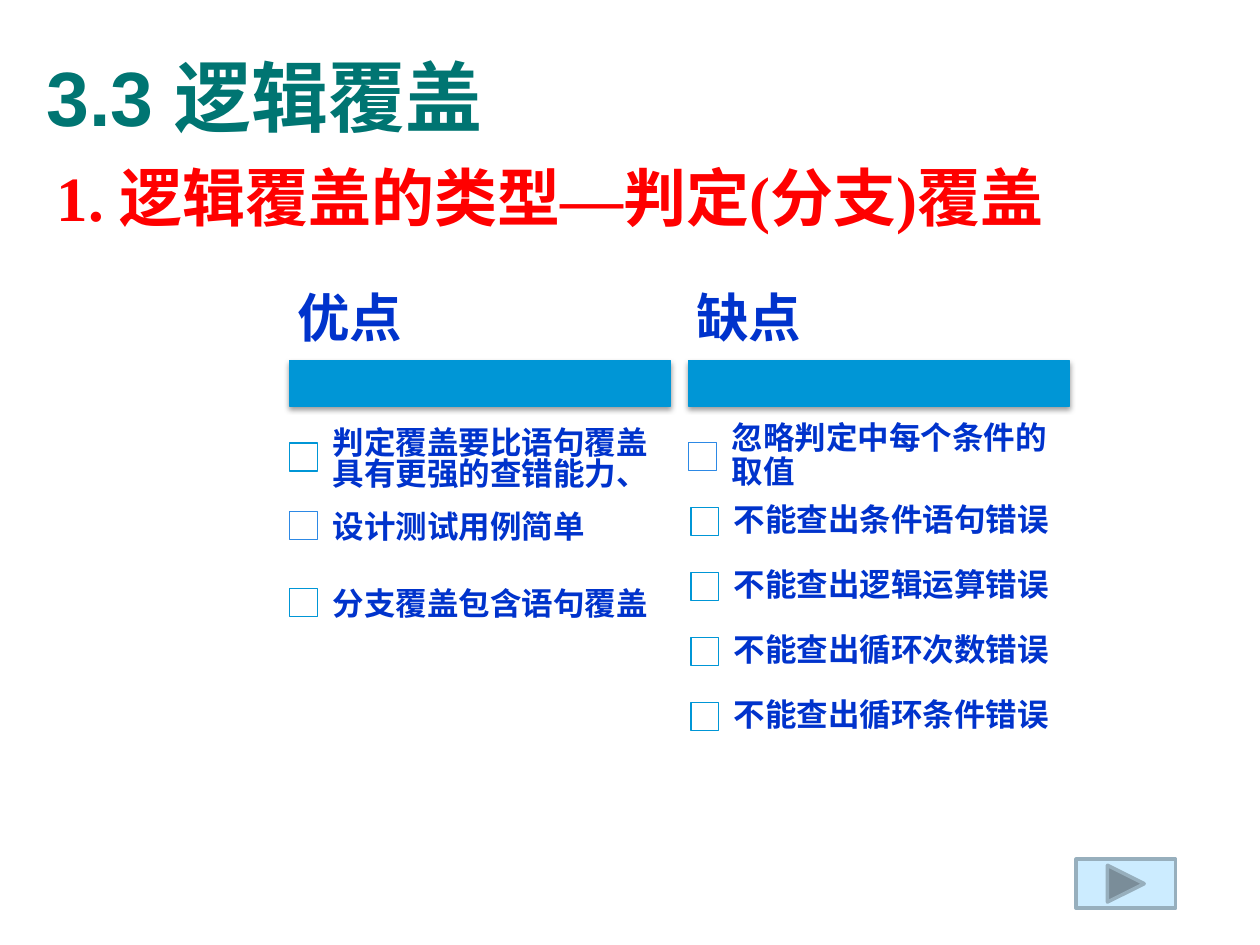
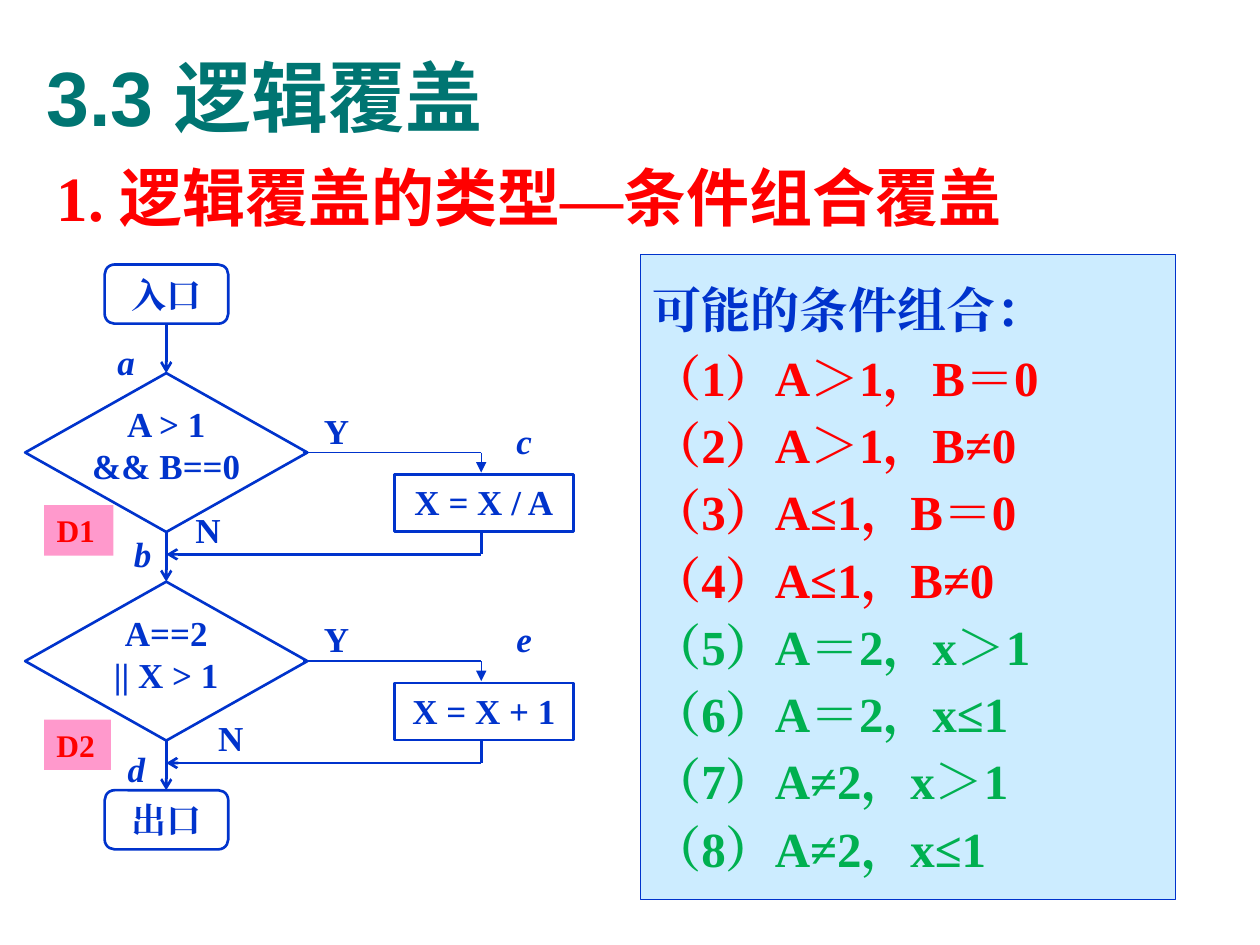
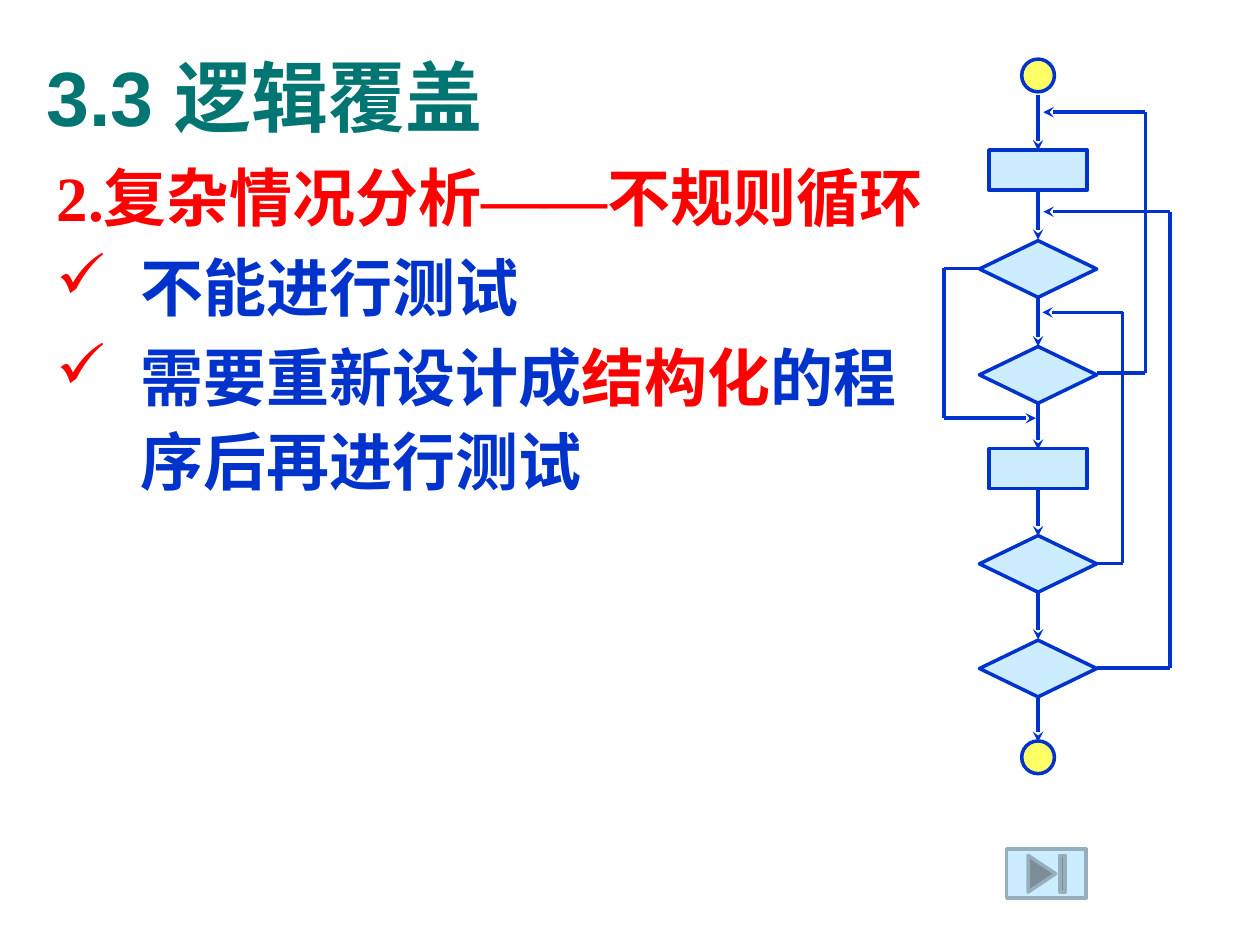
import pptx
import pptx.util
import pptx.dml.color
import pptx.enum.shapes
import pptx.enum.text
import pptx.oxml
import pptx.oxml.ns

Pt = pptx.util.Pt
SHAPE = pptx.enum.shapes.MSO_SHAPE
ALIGN = pptx.enum.text.PP_ALIGN
ANCHOR = pptx.enum.text.MSO_ANCHOR

COLORS = {
    "title": "007572", "red": "FF0000", "blue": "0033CC", "green": "00B050",
    "bar": "0096D6", "box": "2D89E5", "pale": "CCECFF", "white": "FFFFFF",
    "button": "97AFBD", "tag": "FF99CC", "terminal": "FFFF66",
}
SANS, SERIF = "Arial", "Times New Roman"
LABEL = dict(size=20, font=SERIF, align=ALIGN.CENTER)
BODY = dict(size=36, color="red", hang=48, line_spacing=1.1, gap=2)


def rgb(name):
    return pptx.dml.color.RGBColor.from_string(COLORS[name])


def add_xml(parent, tag, inner="", **attributes):
    """Append one DrawingML element to parent."""
    settings = " ".join(f'{key}="{value}"' for key, value in attributes.items())
    parent.append(pptx.oxml.parse_xml(
        f'<a:{tag} {pptx.oxml.ns.nsdecls("a")} {settings}>{inner}</a:{tag}>'))


def write(shape, paragraphs, size=18, color="blue", font=SANS, italic=False,
          align=ALIGN.LEFT, anchor=ANCHOR.TOP, margins=(7.2, 3.6, 7.2, 3.6),
          wrap=True, line_spacing=None, gap=0, hang=0, bullet=None):
    """Fill a shape; a paragraph is a string or a list of (text, overrides)."""
    frame = shape.text_frame
    frame.word_wrap = wrap
    frame.vertical_anchor = anchor
    (frame.margin_left, frame.margin_top,
     frame.margin_right, frame.margin_bottom) = map(Pt, margins)
    for index, content in enumerate(paragraphs):
        paragraph = frame.paragraphs[0] if index == 0 else frame.add_paragraph()
        paragraph.alignment = align
        paragraph.line_spacing = line_spacing
        paragraph.space_before = paragraph.space_after = Pt(gap)
        properties = paragraph._p.get_or_add_pPr()
        if hang:
            properties.set("marL", str(Pt(hang)))
            properties.set("indent", str(-Pt(hang)))
        if bullet and index:
            add_xml(properties, "buClr", f'<a:srgbClr val="{COLORS["red"]}"/>')
            add_xml(properties, "buChar", char=bullet)
        runs = [(content, {})] if isinstance(content, str) else content
        for words, changes in runs:
            run = paragraph.add_run()
            run.text = words
            face = changes.get("font", font)
            run.font.name = face
            run.font.size = Pt(size)
            run.font.bold = True
            run.font.italic = italic
            run.font.color.rgb = rgb(changes.get("color", color))
            add_xml(run._r.get_or_add_rPr(), "ea", typeface=face)


def text_box(slide, left, top, width, height, paragraphs, **style):
    box = slide.shapes.add_textbox(Pt(left), Pt(top), Pt(width), Pt(height))
    write(box, paragraphs, **style)


def node(slide, kind, left, top, width, height, fill=None, line="blue", weight=1.5):
    shape = slide.shapes.add_shape(kind, Pt(left), Pt(top), Pt(width), Pt(height))
    shape.shadow.inherit = False
    if fill:
        shape.fill.solid()
        shape.fill.fore_color.rgb = rgb(fill)
    else:
        shape.fill.background()
    if line:
        shape.line.color.rgb = rgb(line)
        shape.line.width = Pt(weight)
    else:
        shape.line.fill.background()
    return shape


def route(slide, *points, arrow=None, weight=1.5):
    """Join points with straight connectors; the last may carry an arrowhead."""
    legs = list(zip(points, points[1:]))
    for leg, (start, end) in enumerate(legs, 1):
        connector = slide.shapes.add_connector(
            pptx.enum.shapes.MSO_CONNECTOR.STRAIGHT, *map(Pt, start + end))
        connector.line.color.rgb = rgb("blue")
        connector.line.width = Pt(weight)
        if arrow and leg == len(legs):
            add_xml(connector.line._get_or_add_ln(), "tailEnd", type=arrow)
        add_xml(connector._element.spPr, "effectLst")


def new_slide(deck):
    slide = deck.slides.add_slide(deck.slide_layouts[6])
    text_box(slide, 19.4, 9.4, 672.5, 90, ["3.3 逻辑覆盖"], size=44,
             color="title", anchor=ANCHOR.MIDDLE)
    return slide


def body(slide, paragraphs, width=663, height=62.6, **style):
    text_box(slide, 25.2, 82.8, width, height, paragraphs, **BODY, **style)


def coverage_heading(slide, *kind):
    body(slide, [[("1. ", {"font": SERIF}), ("逻辑覆盖的类型", {}),
                  ("—", {"font": SERIF}), *kind]])


# Slide 1: pros and cons
def opinion_column(slide, left, heading, items, box_offset, line_spacing):
    text_box(slide, left, 160, 217.4, 46, [heading], size=30, line_spacing=0.9,
             anchor=ANCHOR.MIDDLE, margins=(4.3, 2.9, 4.3, 2.9))
    bar = node(slide, SHAPE.RECTANGLE, left, 206, 217.4, 26, "bar", "bar", 0.75)
    bar._element.spPr.remove(bar._element.spPr.find(pptx.oxml.ns.qn("a:effectLst")))
    add_xml(bar._element.spPr, "effectLst",
            f'<a:outerShdw blurRad="{Pt(3.1)}" dist="{Pt(1.6)}" dir="5400000">'
            '<a:srgbClr val="000000"><a:alpha val="38000"/></a:srgbClr></a:outerShdw>')
    for top, item, shift, outline in items:
        node(slide, SHAPE.RECTANGLE, left + shift, top + box_offset, 16, 16,
             "white", outline, 0.75)
        text_box(slide, left + 14.6 + shift, top, 202.8, 37.4, [item],
                 line_spacing=line_spacing, anchor=ANCHOR.MIDDLE, margins=(10,) * 4)


def branch_coverage(deck):
    slide = new_slide(deck)
    coverage_heading(slide, ("判定", {}), ("(", {"font": SERIF}), ("分支", {}),
                     (")", {"font": SERIF}), ("覆盖", {}))
    opinion_column(slide, 165.6, "优点", [
        (244.6, "判定覆盖要比语句覆盖具有更强的查错能力、", 0, "bar"),
        (283.6, "设计测试用例简单", 0, "box"),
        (327.8, "分支覆盖包含语句覆盖", 0, "bar")], 8.6, 0.8)
    drawbacks = ["忽略判定中每个条件的取值", "不能查出条件语句错误",
                 "不能查出逻辑运算错误", "不能查出循环次数错误", "不能查出循环条件错误"]
    opinion_column(slide, 393.6, "缺点", [
        (242 + 37.2 * row, drawback, 1.2 if row else 0, "bar" if row else "box")
        for row, drawback in enumerate(drawbacks)], 10.8, 0.9)
    node(slide, SHAPE.ACTION_BUTTON_FORWARD_OR_NEXT, 614.9, 491, 56.9, 28,
         "pale", "button", 2)


# Slide 2: flowchart with condition combinations
def terminal(slide, top, name):
    write(node(slide, SHAPE.FLOWCHART_ALTERNATE_PROCESS, 59.8, top, 70.6, 33.8),
          [name], anchor=ANCHOR.MIDDLE, wrap=False, **LABEL)


def decision(slide, top, condition, action):
    axis, side = 95, 275
    middle, bottom, join = top + 45.4, top + 90.8, top + 103.6
    diamond = node(slide, SHAPE.FLOWCHART_DECISION, 14.4, top, 161.3, 90.8)
    write(diamond, condition, anchor=ANCHOR.MIDDLE, wrap=False,
          margins=(1.4, 0.7, 1.4, 9.4), **LABEL)
    text_box(slide, 171.4, top + 17, 41.8, 31, ["Y"], **LABEL)
    write(node(slide, SHAPE.RECTANGLE, 225.4, top + 58, 102.2, 32.6),
          [action], **LABEL)
    route(slide, (173, middle), (side, middle), (side, top + 56.8),
          arrow="triangle", weight=0.75)
    route(slide, (side, bottom), (side, join), (axis, join), arrow="arrow")
    route(slide, (axis, bottom), (axis, top + 119.2), arrow="arrow")


def combination_coverage(deck):
    slide = new_slide(deck)
    coverage_heading(slide, ("条件组合覆盖", {}))

    # Condition list
    first = ["（1）A＞1，B＝0", "（2）A＞1，B≠0", "（3）A≤1，B＝0", "（4）A≤1，B≠0"]
    second = ["（5）A＝2，x＞1", "（6）A＝2，x≤1", "（7）A≠2，x＞1", "（8）A≠2，x≤1"]
    panel = node(slide, SHAPE.RECTANGLE, 365.8, 145.4, 306, 368.6, "pale", weight=0.75)
    write(panel, ["可能的条件组合："]
          + [[(line, {"color": "red"})] for line in first]
          + [[(line, {"color": "green"})] for line in second],
          size=28, font=SERIF, anchor=ANCHOR.MIDDLE, wrap=False,
          line_spacing=1.05, gap=1.6)

    # Flow
    terminal(slide, 151.2, "入口")
    route(slide, (95, 185), (95, 213.2), arrow="arrow")
    decision(slide, 213.2, ["A > 1", "&& B==0"], "X = X / A")
    decision(slide, 332.4, ["A==2", "|| X > 1"], "X = X + 1")
    terminal(slide, 451.6, "出口")

    # Edge labels and tags
    for left, top, name in [(54, 190.8, "a"), (63.4, 301, "b"), (280.8, 236.2, "c"),
                            (59.8, 423.4, "d"), (280.8, 349.2, "e"),
                            (103, 287.3, "N"), (116, 406, "N")]:
        text_box(slide, left, top, 30.2, 31, [name], size=20, font=SERIF,
                 align=ALIGN.RIGHT, italic=name != "N")
    for top, width, name in [(288.7, 39.6, "D1"), (411.2, 38.2, "D2")]:
        tag = node(slide, SHAPE.RECTANGLE, 25.2, top, width, 28.8, "tag", None)
        write(tag, [name], color="red", font=SERIF)


# Slide 3: irregular loops
def irregular_loops(deck):
    slide = new_slide(deck)
    body(slide, [
        [("2.", {"font": SERIF}), ("复杂情况分析", {}),
         ("——", {"font": SERIF}), ("不规则循环", {})],
        [("不能进行测试", {"color": "blue"})],
        [("需要重新设计成", {"color": "blue"}), ("结构化", {}),
         ("的程序后再进行测试", {"color": "blue"})],
    ], width=527, height=436.3, bullet="✓")

    # Steps, centred on one axis
    axis = 593.2
    steps = [(SHAPE.DIAMOND, 67, 32.4, "pale", (137.5, 198, 306, 365.8)),
             (SHAPE.RECTANGLE, 56.2, 23, "pale", (85.7, 256.3)),
             (SHAPE.OVAL, 18.7, 18.7, "terminal", (33.8, 423.4))]
    for kind, width, height, fill, tops in steps:
        for top in tops:
            node(slide, kind, axis - width / 2, top, width, height, fill, weight=2)

    # Downward flow
    for start, end in [(54, 86), (108.7, 137), (169.5, 198), (229.2, 257),
                       (280, 306.5), (338, 365.5), (397, 424)]:
        route(slide, (axis, start), (axis, end), arrow="stealth", weight=2)

    # Jumps: side, start height, outer x, end height, end x
    for side, start, outer, end, target in [
            (626.6, 213.1, 654.5, 64.1, 596.2), (626.6, 381.8, 668.5, 121, 596.2),
            (626.6, 322, 641.5, 178.5, 595.6), (559.6, 153.4, 539.3, 239, 592)]:
        route(slide, (side, start), (outer, start), (outer, end), (target, end),
              arrow="stealth", weight=2)
    node(slide, SHAPE.ACTION_BUTTON_END, 575.3, 485.3, 45.4, 28, "pale", "button", 2)


def main():
    deck = pptx.Presentation()
    deck.slide_width, deck.slide_height = Pt(720), Pt(540)
    branch_coverage(deck)
    combination_coverage(deck)
    irregular_loops(deck)
    deck.save("out.pptx")


if __name__ == "__main__":
    main()
